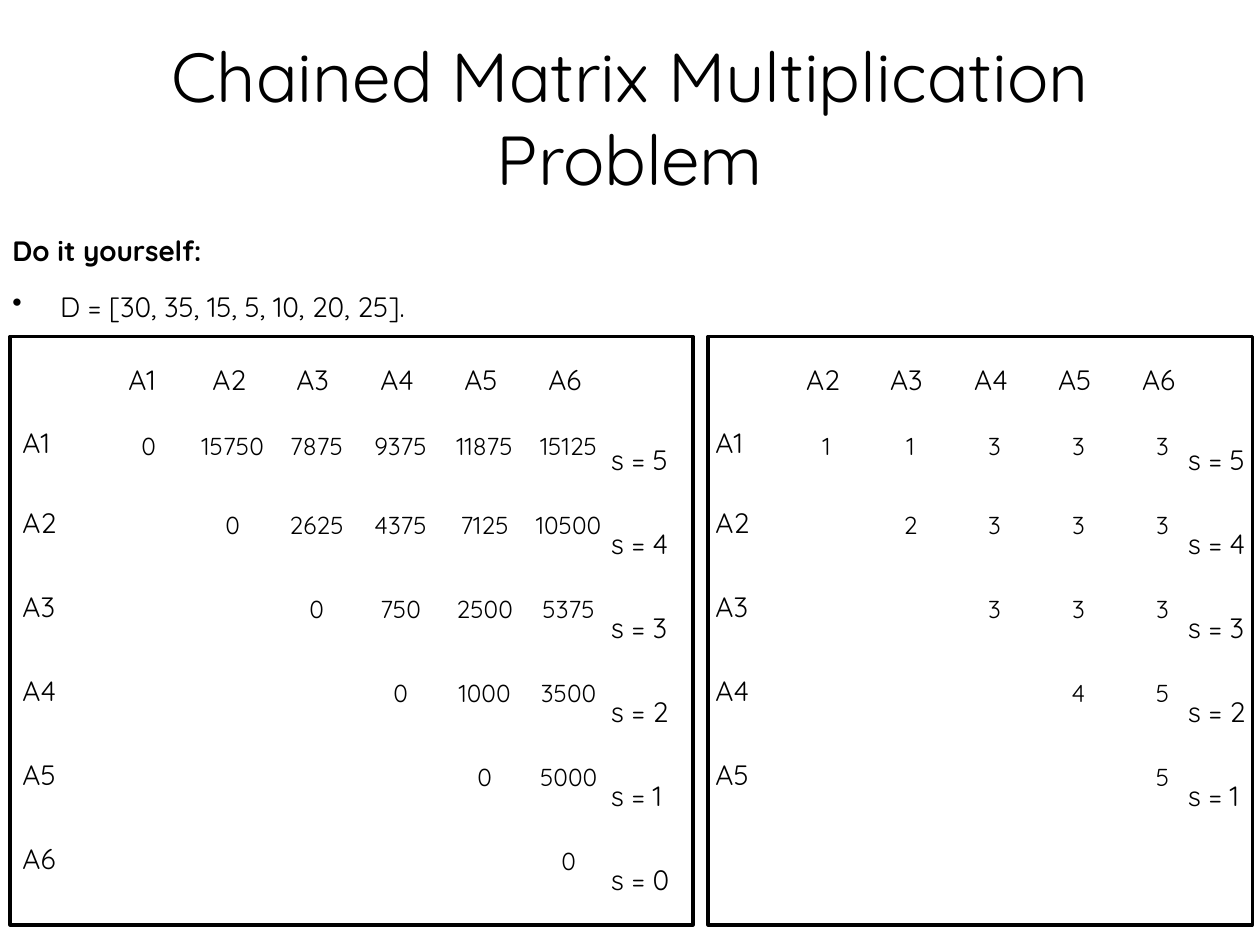
import pptx
import pptx.dml.color
import pptx.enum.shapes
import pptx.enum.text
import pptx.oxml
import pptx.util
from pptx.util import Inches

ALIGN = pptx.enum.text.PP_ALIGN
FONT = "Quicksand"
INK = "000000"
PITCH = 2 / 3
CELL_WIDTH = 0.75
HEADER_TOP = 0.16
ROW_TOPS = [0.66] + [1.29 + PITCH * row for row in range(5)]

COSTS = [
    [0, 15750, 7875, 9375, 11875, 15125],
    [0, 2625, 4375, 7125, 10500],
    [0, 750, 2500, 5375],
    [0, 1000, 3500],
    [0, 5000],
    [0],
]
SPLITS = [[1, 1, 3, 3, 3], [2, 3, 3, 3], [3, 3, 3], [4, 5], [5]]


def color(value):
    return pptx.dml.color.RGBColor.from_string(value)


def style(para, size, bold=False):
    for span in para.runs:
        span.font.name = FONT
        span.font.size = pptx.util.Pt(size)
        span.font.bold = bold
        span.font.color.rgb = color(INK)


def add_label(page, text, left, top, size=16, align=ALIGN.LEFT):
    box = page.shapes.add_textbox(Inches(left), Inches(top), Inches(CELL_WIDTH), Inches(0.37))
    box.text_frame.word_wrap = True
    para = box.text_frame.paragraphs[0]
    para.text = text
    para.alignment = align
    style(para, size)


def add_title(page, left, top, width, height):
    title = page.shapes.title
    title.left, title.top = Inches(left), Inches(top)
    title.width, title.height = Inches(width), Inches(height)
    frame = title.text_frame
    frame.text = "Chained Matrix Multiplication Problem"
    frame.auto_size = pptx.enum.text.MSO_AUTO_SIZE.NONE
    frame.vertical_anchor = pptx.enum.text.MSO_ANCHOR.MIDDLE
    frame.paragraphs[0].alignment = ALIGN.CENTER
    style(frame.paragraphs[0], 39.6)


def add_bullet(para, indent):
    properties = para._p.get_or_add_pPr()
    properties.set("marL", str(Inches(indent)))
    properties.set("indent", str(-Inches(indent)))
    bullet = pptx.oxml.parse_xml(
        '<a:buChar xmlns:a="http://schemas.openxmlformats.org/drawingml/2006/main" char="•"/>'
    )
    properties.append(bullet)


def add_exercise(page, left, top, width, height):
    box = page.shapes.add_textbox(Inches(left), Inches(top), Inches(width), Inches(height))
    frame = box.text_frame
    frame.word_wrap = True
    frame.text = "Do it yourself:\nD = [30, 35, 15, 5, 10, 20, 25]."
    for para in frame.paragraphs:
        para.alignment = ALIGN.JUSTIFY
        para.line_spacing = 1.5
        para.space_before = pptx.util.Pt(3.2)
    heading, dimensions = frame.paragraphs
    style(heading, 16, bold=True)
    style(dimensions, 16)
    add_bullet(dimensions, 0.38)


def add_matrix(page, left, top, width, height, rows, first_column, label_x, center_x, step_x):
    """Framed upper triangle; the x offsets are measured from the frame's left edge."""
    for column in range(len(rows)):
        header_left = left + center_x - 0.26 + column * PITCH
        add_label(page, f"A{first_column + column}", header_left, top + HEADER_TOP)

    for row, values in enumerate(rows):
        row_top = top + ROW_TOPS[row]
        add_label(page, f"A{row + 1}", left + label_x, row_top)
        for column, value in enumerate(values, start=row):
            value_left = left + center_x + column * PITCH - CELL_WIDTH / 2
            add_label(page, str(value), value_left, row_top + 0.04, 14, ALIGN.CENTER)
        add_label(page, f"s = {5 - row}", left + step_x, top + 0.79 + row * PITCH)

    frame = page.shapes.add_shape(
        pptx.enum.shapes.MSO_SHAPE.RECTANGLE,
        Inches(left), Inches(top), Inches(width), Inches(height),
    )
    frame.shadow.inherit = False
    frame.fill.background()
    frame.line.color.rgb = color(INK)
    frame.line.width = pptx.util.Pt(2)


def main():
    deck = pptx.Presentation()
    deck.slide_width, deck.slide_height = Inches(10), Inches(7.5)
    page = deck.slides.add_slide(deck.slide_layouts[5])
    add_title(page, 0.5, 0.3, 9, 1.25)
    add_exercise(page, 0, 1.67, 10, 5.83)
    add_matrix(page, 0.08, 2.67, 5.42, 4.67, COSTS, first_column=1,
               label_x=0, center_x=1.1, step_x=4.67)
    add_matrix(page, 5.62, 2.67, 4.32, 4.67, SPLITS, first_column=2,
               label_x=-0.04, center_x=0.94, step_x=3.71)
    deck.save("out.pptx")


if __name__ == "__main__":
    main()
